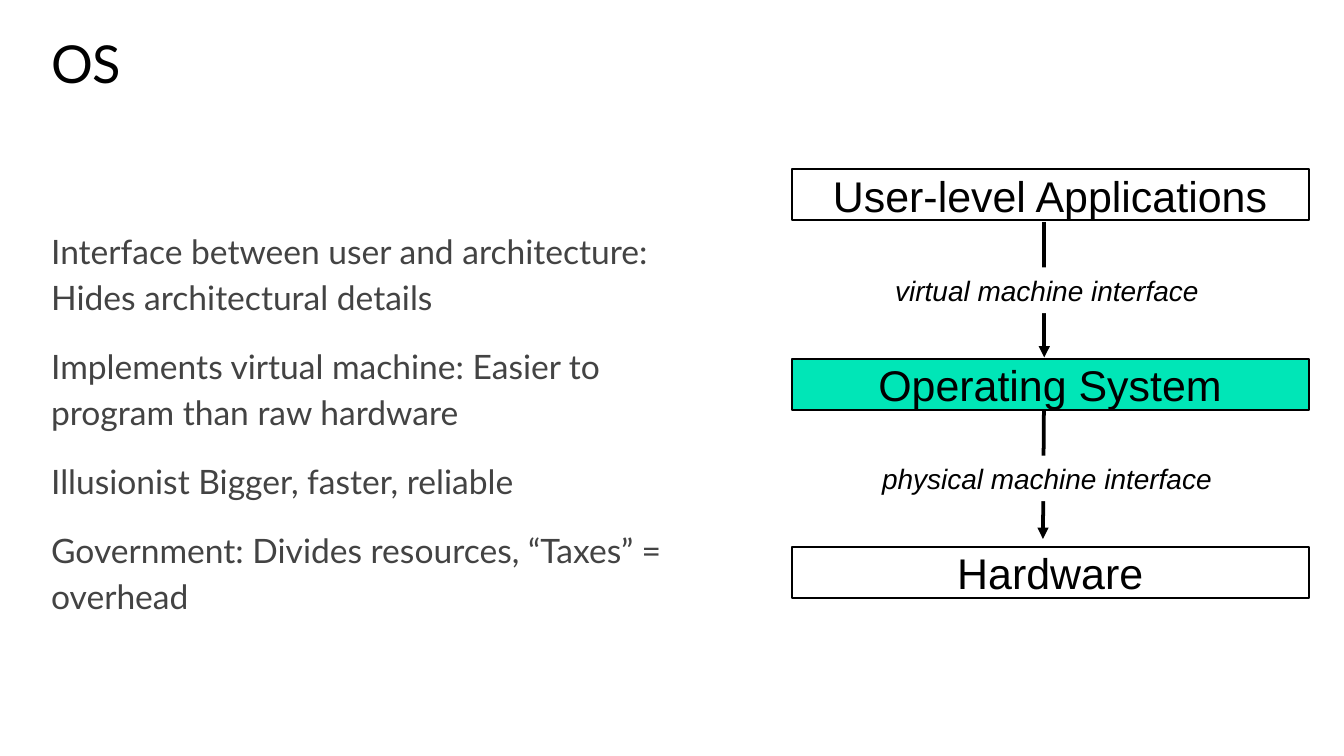
"""Build the operating system layers slide."""
from dataclasses import dataclass

from lxml.etree import SubElement
from pptx import Presentation
from pptx.dml.color import RGBColor
from pptx.enum.shapes import MSO_CONNECTOR as Connector, MSO_SHAPE as Shape
from pptx.enum.text import MSO_ANCHOR as Anchor, PP_ALIGN as Align
from pptx.oxml.ns import qn
from pptx.util import Inches, Pt


@dataclass(frozen=True)
class Theme:
    ink: str = "000000"
    body_ink: str = "434343"
    paper: str = "FFFFFF"
    accent: str = "00E6B7"
    text_font: str = "Lato"
    diagram_font: str = "Arial"
    title_size: int = 28
    body_size: int = 18
    layer_size: int = 23
    label_size: int = 15
    border: int = 1
    arrow: int = 2


@dataclass(frozen=True)
class Layer:
    text: str
    top: float
    fill: str


@dataclass(frozen=True)
class Label:
    text: str
    top: float
    width: float


@dataclass(frozen=True)
class Arrow:
    start: tuple[float, float]
    end: tuple[float, float]


THEME = Theme()
SLIDE_WIDTH = 10
SLIDE_HEIGHT = SLIDE_WIDTH * 9 / 16
INSET = 0.04
LAYER_LEFT, LAYER_WIDTH, LAYER_HEIGHT = 5.89, 3.85, 0.38
LABEL_CENTER, LABEL_HEIGHT = 7.79, 0.34
LAYERS = [
    Layer("User-level Applications", 1.26, THEME.paper),
    Layer("Operating System", 2.67, THEME.accent),
    Layer("Hardware", 4.07, THEME.paper),
]
LABELS = [
    Label("virtual machine interface", 1.99, 2.63),
    Label("physical machine interface", 3.39, 2.85),
]
ARROWS = [Arrow((7.77, 1.65), (7.77, 2.66)), Arrow((7.77, 2.72), (7.76, 4.01))]
POINTS = [
    "Interface between user and architecture: Hides architectural details",
    "Implements virtual machine: Easier to program than raw hardware",
    "Illusionist Bigger, faster, reliable",
    "Government: Divides resources, “Taxes” = overhead",
]


def set_values(target, values: dict) -> None:
    for name, value in values.items():
        setattr(target, name, value)


def write(box, texts: list[str], color: str, font: dict, layout: dict, gap: int = 0) -> None:
    frame = box.text_frame
    margins = {f"margin_{side}": Inches(INSET) for side in ("left", "top", "right", "bottom")}
    set_values(frame, {"word_wrap": True, "vertical_anchor": Anchor.MIDDLE, **margins})
    for index, text in enumerate(texts):
        para = frame.paragraphs[0] if index == 0 else frame.add_paragraph()
        set_values(para, {**layout, "space_before": Pt(gap if index else 0)})
        span = para.add_run()
        span.text = text
        set_values(span.font, font)
        span.font.color.rgb = RGBColor.from_string(color)


def add_text(slide, area: tuple, texts: list[str], color: str, size: int,
             layout: dict, gap: int = 0) -> None:
    box = slide.shapes.add_textbox(*map(Inches, area))
    write(box, texts, color, {"name": THEME.text_font, "size": Pt(size)}, layout, gap)


def add_box(slide, area: tuple, text: str, fill: str, size: int,
            border: bool = False, italic: bool = False) -> None:
    box = slide.shapes.add_shape(Shape.RECTANGLE, *map(Inches, area))
    box.shadow.inherit = False
    box.fill.solid()
    box.fill.fore_color.rgb = RGBColor.from_string(fill)
    if border:
        box.line.color.rgb = RGBColor.from_string(THEME.ink)
        box.line.width = Pt(THEME.border)
    else:
        box.line.fill.background()
    font = {"name": THEME.diagram_font, "size": Pt(size), "italic": italic}
    write(box, [text], THEME.ink, font, {"alignment": Align.CENTER})


def add_arrow(slide, arrow: Arrow) -> None:
    connector = slide.shapes.add_connector(
        Connector.STRAIGHT, *map(Inches, arrow.start + arrow.end))
    connector.line.color.rgb = RGBColor.from_string(THEME.ink)
    connector.line.width = Pt(THEME.arrow)
    properties = connector._element.spPr
    SubElement(properties.find(qn("a:ln")), qn("a:tailEnd"), type="triangle")
    SubElement(properties, qn("a:effectLst"))


def main() -> None:
    deck = Presentation()
    set_values(deck, {"slide_width": Inches(SLIDE_WIDTH), "slide_height": Inches(SLIDE_HEIGHT)})
    slide = deck.slides.add_slide(deck.slide_layouts[6])
    add_text(slide, (0.34, 0.15, 9.32, 0.63), ["OS"], THEME.ink, THEME.title_size, {})
    add_text(slide, (0.34, 1.26, 5.08, 3.74), POINTS, THEME.body_ink, THEME.body_size,
             {"line_spacing": 1.15}, gap=12)
    for arrow in ARROWS:
        add_arrow(slide, arrow)
    for layer in LAYERS:
        add_box(slide, (LAYER_LEFT, layer.top, LAYER_WIDTH, LAYER_HEIGHT),
                layer.text, layer.fill, THEME.layer_size, border=True)
    for label in LABELS:
        left = LABEL_CENTER - label.width / 2
        add_box(slide, (left, label.top, label.width, LABEL_HEIGHT),
                label.text, THEME.paper, THEME.label_size, italic=True)
    deck.save("out.pptx")


if __name__ == "__main__":
    main()
